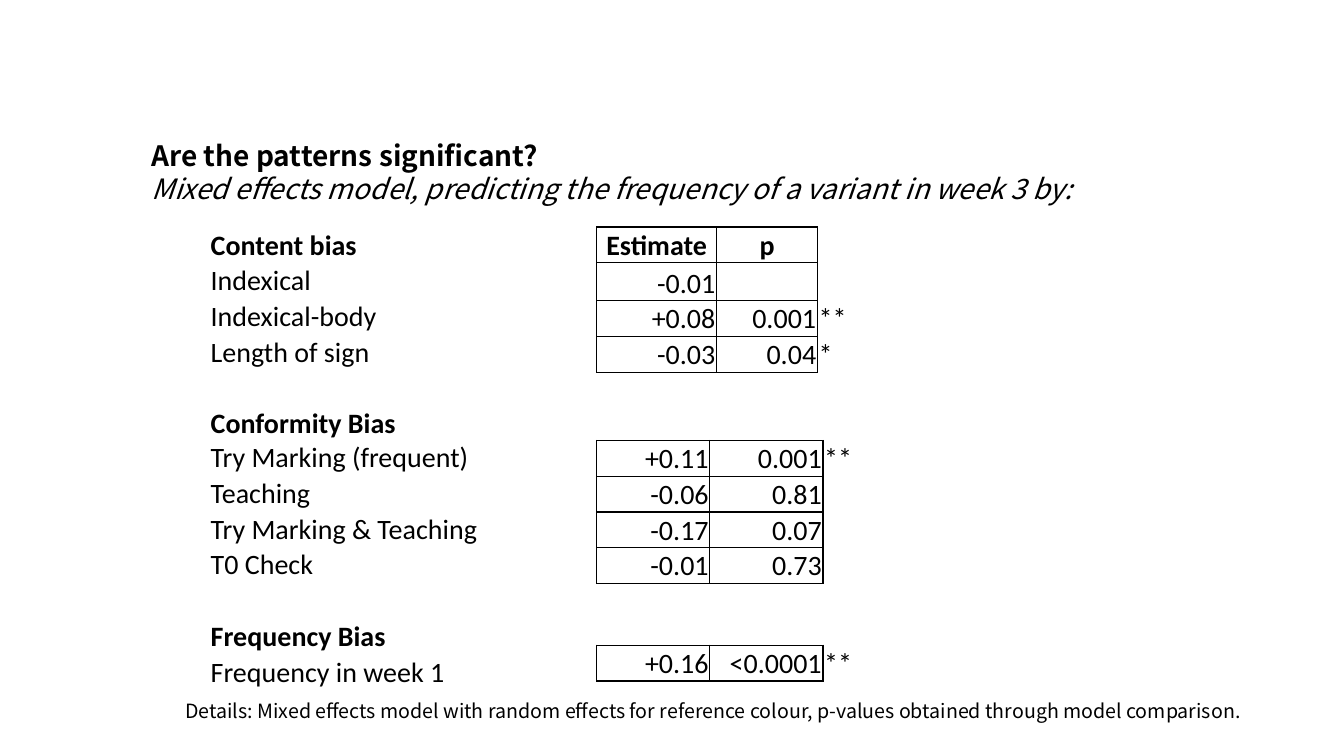
import pptx
import pptx.util
import pptx.dml.color
import pptx.enum.text
import pptx.oxml
import pptx.oxml.ns
from pptx.util import Cm

BLACK = pptx.dml.color.RGBColor(0x00, 0x00, 0x00)
ALIGN = pptx.enum.text.PP_ALIGN
ANCHOR = pptx.enum.text.MSO_ANCHOR
AUTO_SIZE = pptx.enum.text.MSO_AUTO_SIZE
TABLE_FONT = "Calibri"
TEXT_FONT = "Noto Sans CJK KR"
NO_TABLE_STYLE = "{2D5ABB26-0587-4C30-8999-92F81FD0307C}"
ROW = 0.9


def write(text_frame, text, font=TEXT_FONT, size=20, bold=False, italic=False,
          align=ALIGN.LEFT, new_paragraph=False):
    if new_paragraph:
        paragraph = text_frame.add_paragraph()
    else:
        paragraph = text_frame.paragraphs[0]
    paragraph.alignment = align
    run = paragraph.add_run()
    run.text = text
    run.font.name = font
    run.font.size = pptx.util.Pt(size)
    run.font.bold = bold
    run.font.italic = italic
    run.font.color.rgb = BLACK


def add_border(cell, sides):
    properties = cell._tc.get_or_add_tcPr()
    for side in sides:
        properties.append(pptx.oxml.parse_xml(
            f'<a:ln{side} {pptx.oxml.ns.nsdecls("a")} w="12700"><a:solidFill>'
            f'<a:srgbClr val="{BLACK}"/></a:solidFill></a:ln{side}>'))


presentation = pptx.Presentation()
presentation.slide_width = Cm(33.87)
presentation.slide_height = Cm(19.05)
slide = presentation.slides.add_slide(presentation.slide_layouts[5])

# Title and subtitle
title = slide.shapes.title
title.left, title.top, title.width, title.height = Cm(3.56), Cm(3.35), Cm(23.98), Cm(1.96)
title.text_frame.word_wrap = False
title.text_frame.auto_size = AUTO_SIZE.NONE
title.text_frame.vertical_anchor = ANCHOR.TOP
write(title.text_frame, "Are the patterns significant?", bold=True)
write(title.text_frame, "Mixed effects model, predicting the frequency of a variant in week 3 by:",
      italic=True, new_paragraph=True)

# Predictor labels, then one table of estimates for each kind of bias
labels = [["Content bias"], ["Indexical"], ["Indexical-body"], ["Length of sign"], [""],
          ["Conformity Bias\nTry Marking (frequent)"], ["Teaching"],
          ["Try Marking & Teaching"], ["T0 Check"], [""],
          ["Frequency Bias"], ["Frequency in week 1"]]
content = [["Estimate", "p", ""], ["-0.01", "", ""],
           ["+0.08", "0.001", "**"], ["-0.03", "0.04", "*"]]
conformity = [["+0.11", "0.001", "**"], ["-0.06", "0.81", ""],
              ["-0.17", "0.07", ""], ["-0.01", "0.73", ""]]
frequency = [["+0.16", "<0.0001", "**"]]
headings = ("Content bias", "Conformity Bias", "Frequency Bias", "Estimate", "p")

# Left, top, column widths, row heights, rows
tables = [
    (5.28, 5.72, [11.73], [ROW] * 5 + [1.76] + [ROW] * 6, labels),
    (15.04, 5.72, [3.02, 2.54, 1.32], [ROW, 0.96, ROW, ROW], content),
    (15.04, 11.1, [2.85] * 3, [ROW] * 4, conformity),
    (15.04, 16.26, [2.85] * 3, [ROW], frequency),
]
for left, top, widths, heights, rows in tables:
    frame = slide.shapes.add_table(len(rows), len(widths), Cm(left), Cm(top),
                                   Cm(sum(widths)), Cm(sum(heights)))
    table = frame.table
    table.first_row = False
    table.horz_banding = False
    for style in frame.element.iter(pptx.oxml.ns.qn("a:tableStyleId")):
        style.text = NO_TABLE_STYLE
    for column, width in zip(table.columns, widths):
        column.width = Cm(width)
    for row, height, texts in zip(table.rows, heights, rows):
        row.height = Cm(height)
        for index, (cell, text) in enumerate(zip(row.cells, texts)):
            cell.margin_left = cell.margin_right = cell.margin_top = Cm(0.03)
            cell.margin_bottom = 0
            cell.vertical_anchor = ANCHOR.BOTTOM
            is_number = len(widths) > 1 and index < 2
            if is_number:
                add_border(cell, "LRTB")
            elif len(widths) > 1:
                add_border(cell, "L")
            cell.fill.background()
            for number, line in enumerate(text.splitlines()):
                heading = line in headings
                align = ALIGN.LEFT
                if is_number:
                    align = ALIGN.CENTER if heading else ALIGN.RIGHT
                write(cell.text_frame, line, font=TABLE_FONT, bold=heading,
                      align=align, new_paragraph=number > 0)

# Details below the tables
details = slide.shapes.add_textbox(Cm(4.42), Cm(17.48), Cm(27.61), Cm(0.86))
details.text_frame.word_wrap = False
write(details.text_frame, "Details: Mixed effects model with random effects for reference colour, "
      "p-values obtained through model comparison.", size=14)

presentation.save("out.pptx")
